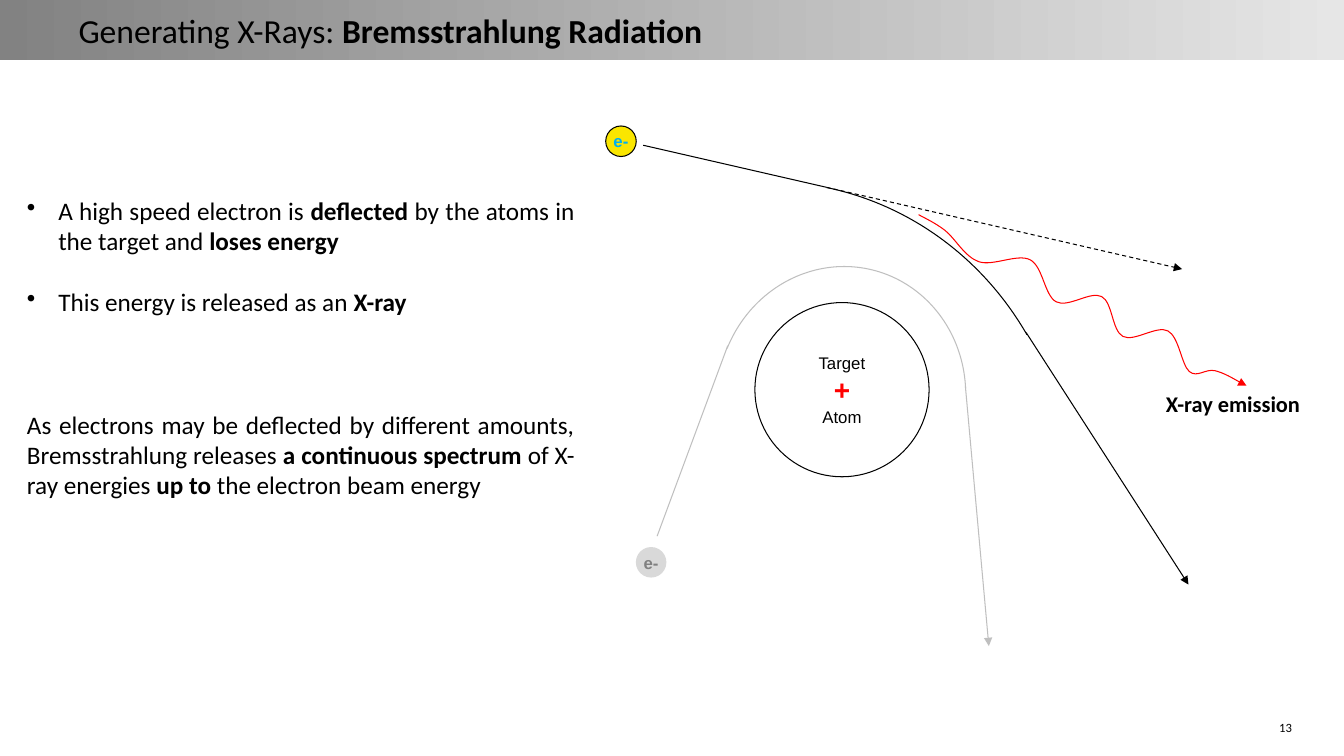
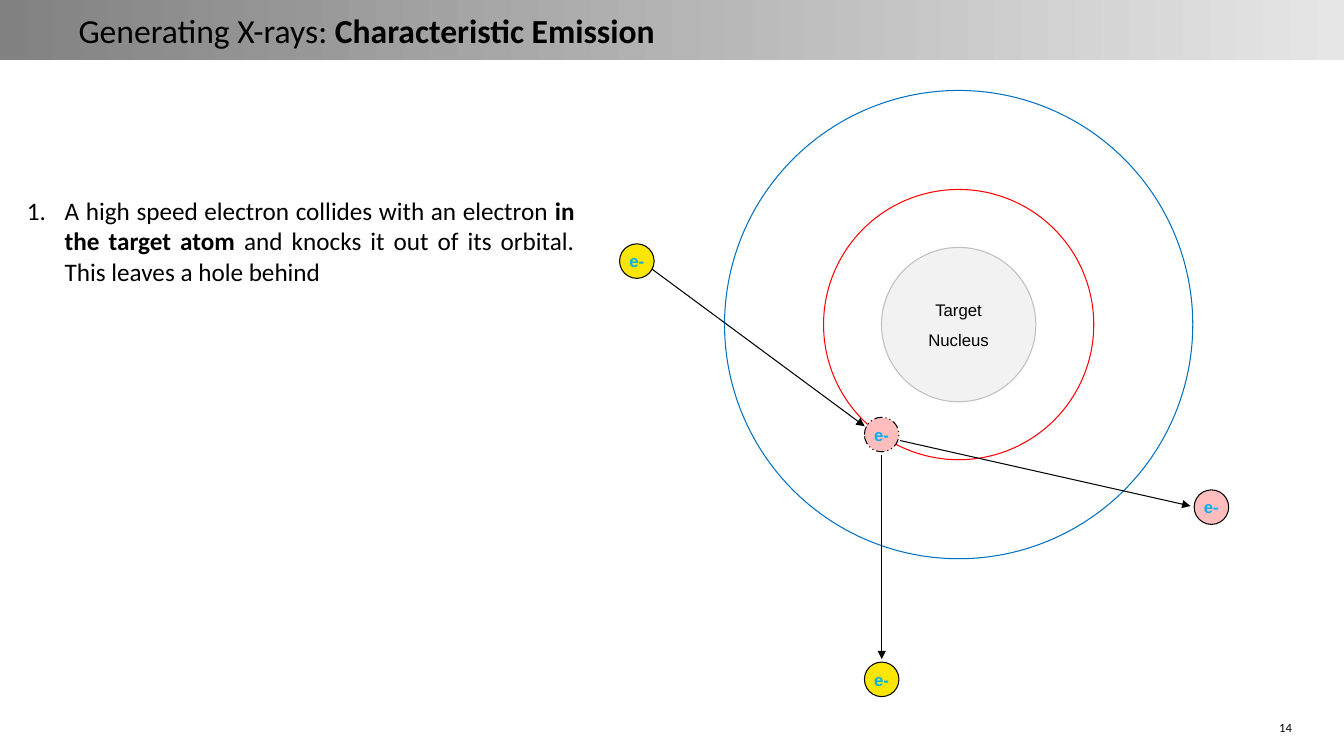
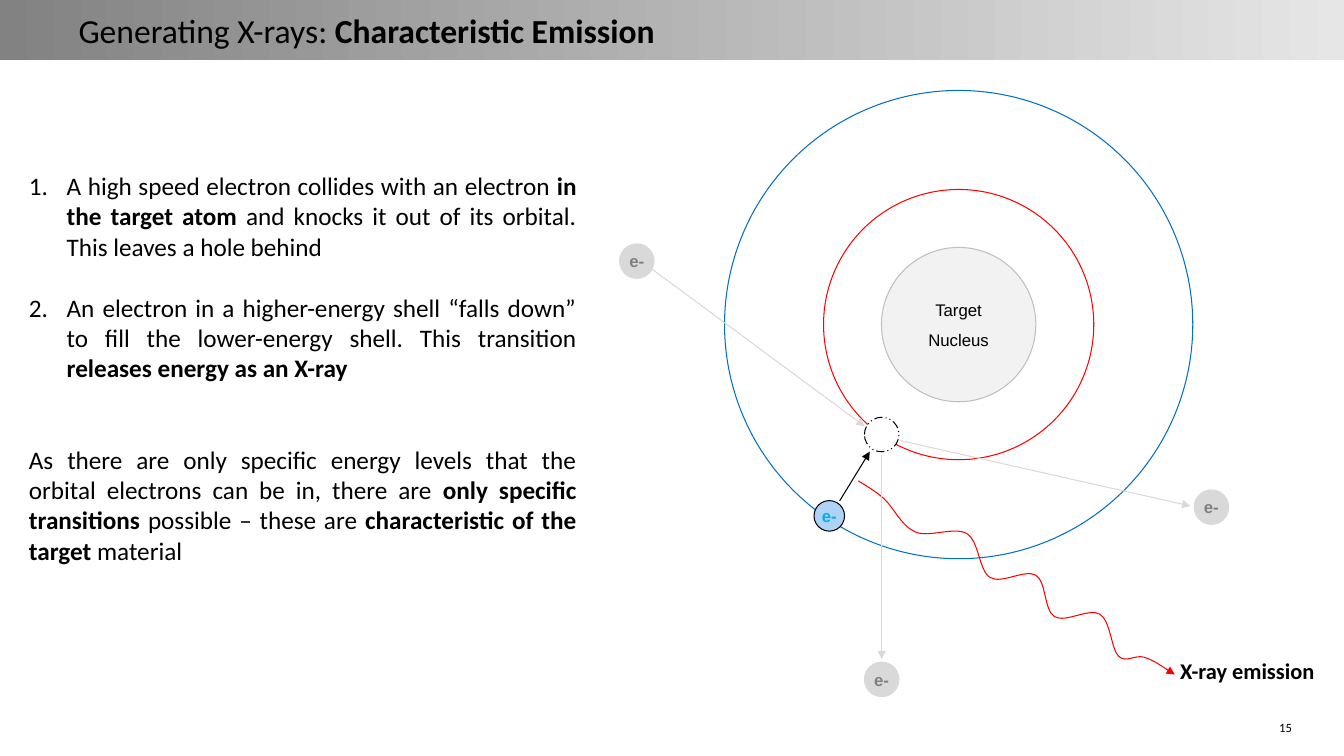
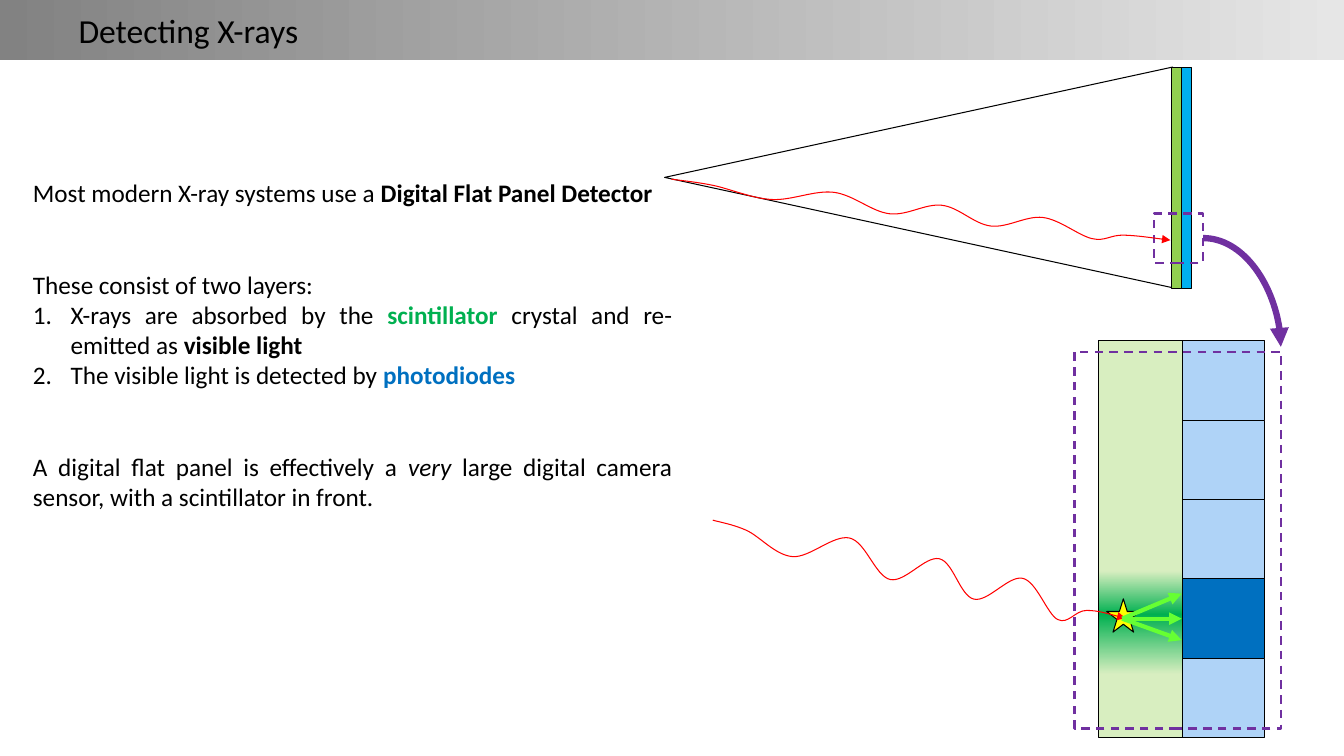
import copy

import pptx
import pptx.dml.color
import pptx.enum.dml
import pptx.enum.shapes
import pptx.enum.text
import pptx.oxml.ns
import pptx.shapes.connector
import pptx.util

COLOURS = {
    "black": "000000", "white": "FFFFFF", "red": "FF0000", "blue": "0070C0",
    "cyan": "00B0F0", "pale blue": "AFD3F7", "yellow": "FAE600", "star": "FFFF00",
    "pink": "FFBDBD", "green": "00B050", "leaf": "92D050", "pale green": "D8EEC0",
    "light": "66FF33", "purple": "7030A0", "band dark": "828282", "band light": "E6E6E6",
    "text grey": "808080", "path grey": "BFBFBF", "faded": "D9D9D9", "nucleus": "F2F2F2",
}
RGB = {name: pptx.dml.color.RGBColor.from_string(value) for name, value in COLOURS.items()}

# Run styles: bold, italic, colour
STYLES = {
    "plain": (False, False, "black"),
    "bold": (True, False, "black"),
    "italic": (False, True, "black"),
    "plus": (True, False, "red"),
    "electron": (True, False, "cyan"),
    "faded electron": (True, False, "text grey"),
    "scintillator": (True, False, "green"),
    "photodiodes": (True, False, "blue"),
}
# Paragraph markers: hanging indent in cm, bullet element
MARKERS = {"bullet": (0.79, "buChar", "char", "•"),
           "number": (0.95, "buAutoNum", "type", "arabicPeriod")}

Cm = pptx.util.Cm
Pt = pptx.util.Pt
SHAPE = pptx.enum.shapes.MSO_SHAPE
CONNECTOR = pptx.enum.shapes.MSO_CONNECTOR
DASH = pptx.enum.dml.MSO_LINE.DASH
DASH_DOT_DOT = pptx.enum.dml.MSO_LINE.DASH_DOT_DOT
ALIGN = pptx.enum.text.PP_ALIGN
ANCHOR = pptx.enum.text.MSO_ANCHOR
qn = pptx.oxml.ns.qn


def finish(shape, fill=None, line=None, width=0.75, dash=None, arrow=False):
    """Set fill and line; fill is a colour name or a list of (position, colour) stops."""
    is_connector = isinstance(shape, pptx.shapes.connector.Connector)
    properties = shape.element.spPr
    if not is_connector:
        shape.shadow.inherit = False
        if isinstance(fill, list):
            shape.fill.gradient()
            stop_list = properties.find(".//" + qn("a:gsLst"))
            while len(stop_list) < len(fill):
                stop_list.append(copy.deepcopy(stop_list[0]))
            for stop, (position, colour) in zip(shape.fill.gradient_stops, fill):
                stop.position = position
                stop.color.rgb = RGB[colour]
        elif fill:
            shape.fill.solid()
            shape.fill.fore_color.rgb = RGB[fill]
        else:
            shape.fill.background()
    if line:
        shape.line.color.rgb = RGB[line]
        shape.line.width = Pt(width)
        if dash:
            shape.line.dash_style = dash
    else:
        shape.line.fill.background()
    if arrow:
        outline = properties.find(qn("a:ln"))
        outline.append(outline.makeelement(qn("a:tailEnd"), {"type": "triangle"}))
    if is_connector:
        properties.append(properties.makeelement(qn("a:effectLst"), {}))


def write(shape, paragraphs, size, font="Calibri", alignment=ALIGN.LEFT,
          anchor=ANCHOR.TOP, wrap=True):
    """Fill a shape with paragraphs given as (marker, space before, [(text, style), ...])."""
    frame = shape.text_frame
    frame.word_wrap = wrap
    frame.vertical_anchor = anchor
    for index, (marker, space, runs) in enumerate(paragraphs):
        paragraph = frame.add_paragraph() if index else frame.paragraphs[0]
        paragraph.alignment = alignment
        if marker:
            indent, tag, attribute, value = MARKERS[marker]
            properties = paragraph._p.get_or_add_pPr()
            properties.set("marL", str(int(Cm(indent))))
            properties.set("indent", str(-int(Cm(indent))))
            properties.append(properties.makeelement(qn("a:" + tag), {attribute: value}))
        if space:
            paragraph.space_before = Pt(space)
        for text, style in runs:
            run = paragraph.add_run()
            run.text = text
            run.font.name = font
            run.font.size = Pt(size)
            run.font.bold, run.font.italic, colour = STYLES[style]
            run.font.color.rgb = RGB[colour]


presentation = pptx.Presentation()
presentation.slide_width = Cm(33.87)
presentation.slide_height = Cm(19.05)

# Headings, page numbers and body texts
LINE = 22  # height in points of one line of body text
collision = ("number", 0, [
    ("A high speed electron collides with an electron ", "plain"),
    ("in the target atom", "bold"),
    (" and knocks it out of its orbital. This leaves a hole behind", "plain")])
characteristic_title = [("Generating X-rays: ", "plain"), ("Characteristic Emission", "bold")]

pages = [
    ([("Generating X-Rays: ", "plain"), ("Bremsstrahlung Radiation", "bold")], "13",
     (0.43, 4.8, 14.3, 7.95), [
        ("bullet", 0, [("A high speed electron is ", "plain"), ("deflected", "bold"),
                       (" by the atoms in the target and ", "plain"), ("loses energy", "bold")]),
        ("bullet", LINE, [("This energy is released as an ", "plain"), ("X-ray", "bold")]),
        (None, 3 * LINE, [
            ("As electrons may be deflected by different amounts, Bremsstrahlung releases ", "plain"),
            ("a continuous spectrum", "bold"), (" of X-ray energies ", "plain"),
            ("up to ", "bold"), ("the electron beam energy", "plain")])]),
    (characteristic_title, "14", (0.43, 4.8, 14.3, 3.33), [collision]),
    (characteristic_title, "15", (0.48, 4.17, 14.3, 10.26), [
        collision,
        ("number", LINE, [
            ("An electron in a higher-energy shell “falls down” to fill the lower-energy shell. "
             "This transition ", "plain"),
            ("releases energy as an X-ray", "bold")]),
        (None, 2 * LINE, [
            ("As there are only specific energy levels that the orbital electrons can be in, "
             "there are ", "plain"),
            ("only specific transitions ", "bold"), ("possible – these are ", "plain"),
            ("characteristic of the target ", "bold"), ("material", "plain")])]),
    ([("Detecting X-rays", "plain")], None, (0.58, 4.34, 16.61, 9.5), [
        (None, 0, [("Most modern X-ray systems use a ", "plain"),
                   ("Digital Flat Panel Detector", "bold")]),
        (None, 2 * LINE, [("These consist of two layers:", "plain")]),
        ("number", 0, [("X-rays are absorbed by the ", "plain"), ("scintillator", "scintillator"),
                       (" crystal and re-emitted as ", "plain"), ("visible light", "bold")]),
        ("number", 0, [("The visible light is detected by ", "plain"),
                       ("photodiodes", "photodiodes")]),
        (None, 2 * LINE, [("A digital flat panel is effectively a ", "plain"), ("very", "italic"),
                          (" large digital camera sensor, with a scintillator in front.", "plain")])]),
]

slides = []
for title, number, body_box, body in pages:
    slide = presentation.slides.add_slide(presentation.slide_layouts[6])
    slides.append(slide)
    band = slide.shapes.add_shape(SHAPE.RECTANGLE, 0, 0, presentation.slide_width, Cm(1.52))
    finish(band, [(0, "band dark"), (1, "band light")])
    band.fill.gradient_angle = 0

    title_box = slide.shapes.add_textbox(Cm(1.98), 0, Cm(27.94), Cm(1.52))
    title_box.text_frame.margin_left = 0
    write(title_box, [(None, 0, title)], 24, anchor=ANCHOR.MIDDLE)

    if number:
        number_box = slide.shapes.add_textbox(Cm(31.9), Cm(17.98), Cm(0.66), Cm(0.66))
        number_box.text_frame.margin_left = number_box.text_frame.margin_right = 0
        write(number_box, [(None, 0, [(number, "plain")])], 9,
              alignment=ALIGN.RIGHT, anchor=ANCHOR.BOTTOM)

    body_text = slide.shapes.add_textbox(*map(Cm, body_box))
    write(body_text, body, 18, alignment=ALIGN.JUSTIFY)

bremsstrahlung, knock_out, emission, detector = slides

# Circles: slide, centre, diameter, fill, line, dash, lines of text with their style
electron = [("e-", "electron")]
faded_electron = [("e-", "faded electron")]
target_atom = [("Target", "plain"), ("+", "plus"), ("Atom", "plain")]
target_nucleus = [("Target", "plain"), ("Nucleus", "plain")]
circles = [
    (bremsstrahlung, (21.22, 9.82), 4.39, None, "black", None, target_atom),
    (bremsstrahlung, (15.65, 3.56), 0.77, "yellow", "black", None, electron),
    (bremsstrahlung, (16.41, 14.17), 0.77, "faded", None, None, faded_electron),
]
nucleus_centre = (24.16, 8.18)
hole_centre = (22.22, 10.95)
for slide in (knock_out, emission):
    circles += [
        (slide, nucleus_centre, 11.8, None, "blue", None, []),
        (slide, nucleus_centre, 6.81, None, "red", None, []),
        (slide, nucleus_centre, 3.89, "nucleus", "path grey", None, target_nucleus),
    ]
circles += [
    (knock_out, hole_centre, 0.87, "pink", "black", DASH_DOT_DOT, electron),
    (emission, hole_centre, 0.87, "white", "black", DASH_DOT_DOT, []),
    (emission, (20.9, 13), 0.77, "pale blue", "black", None, electron),
]
for centre, fill in (((16.05, 6.58), "yellow"), ((30.53, 12.78), "pink"), ((22.22, 17.12), "yellow")):
    circles += [
        (knock_out, centre, 0.87, fill, "black", None, electron),
        (emission, centre, 0.87, "faded", "faded", None, faded_electron),
    ]

for slide, (x, y), diameter, fill, line, dash, texts in circles:
    circle = slide.shapes.add_shape(SHAPE.OVAL, Cm(x - diameter / 2), Cm(y - diameter / 2),
                                    Cm(diameter), Cm(diameter))
    finish(circle, fill, line, dash=dash)
    space = 7 if texts is target_nucleus else 0
    paragraphs = [(None, space if index else 0, [run]) for index, run in enumerate(texts)]
    write(circle, paragraphs, 12, "Arial", ALIGN.CENTER, ANCHOR.MIDDLE, wrap=False)
    if texts is target_atom:
        circle.text_frame.paragraphs[1].runs[0].font.size = Pt(20)

# Bent parts of the two electron paths
for box, start, end, colour in (
        ((11.28, 4.55, 15.7, 16.61), 161.89, 188.89, "black"),
        ((18.08, 6.71, 6.25, 6.6), 114.63, 206.36, "path grey")):
    arc = bremsstrahlung.shapes.add_shape(SHAPE.ARC, *map(Cm, box))
    arc.adjustments[0] = start
    arc.adjustments[1] = end
    arc.rotation = 12
    finish(arc, line=colour)

# Detector: beam, layers, enlarged section and zoom frames
LAYER, CELL = 0.25, 2
layer_left, section_left, section_top = 29.53, 27.69, 8.59
glow = [(0, "pale green"), (0.58, "pale green"), (0.69, "green"), (0.84, "pale green")]
detector_shapes = [
    (SHAPE.ISOSCELES_TRIANGLE, (20.37, -1.93, 5.56, 12.8), None, "black"),
    (SHAPE.RECTANGLE, (layer_left, 1.7, LAYER, 5.56), "leaf", "black"),
    (SHAPE.RECTANGLE, (layer_left + LAYER, 1.7, LAYER, 5.56), "cyan", "black"),
    (SHAPE.RECTANGLE, (section_left, section_top, 2.1, 5 * CELL), glow, "black"),
    (SHAPE.STAR_5_POINT, (27.89, 15.09, 0.84, 0.84), "star", "black"),
    (SHAPE.RECTANGLE, (29.08, 5.38, 1.24, 1.24), None, "purple"),
    (SHAPE.RECTANGLE, (27.08, 8.86, 5.21, 9.5), None, "purple"),
]
photodiodes = []
for row in range(5):
    photodiode = detector.shapes.add_shape(
        SHAPE.RECTANGLE, Cm(section_left + 2.09), Cm(section_top + row * CELL), Cm(2.1), Cm(CELL))
    finish(photodiode, "blue" if row == 3 else "pale blue", "black")
    photodiodes.append(photodiode)

for preset, box, fill, line in detector_shapes:
    shape = detector.shapes.add_shape(preset, *map(Cm, box))
    if line == "purple":
        finish(shape, fill, line, 1.5, DASH)
    else:
        finish(shape, fill, line)
    if preset == SHAPE.ISOSCELES_TRIANGLE:
        shape.rotation = 270
    if fill is glow:
        shape.fill.gradient_angle = 270

# X-ray waves: one smooth curve through these points, stretched and turned
WAVE = [(0, 405), (83, 470), (203, 900), (324, 10), (439, 900), (541, 0),
        (642, 900), (743, 0), (845, 920), (906, 480), (1000, 440)]
WAVE_HEIGHT = 920
for slide, (left, top, width, height), angle in (
        (bremsstrahlung, (22.61, 7.26, 9.32, 0.66), 27.4),
        (emission, (20.93, 14.25, 9.35, 0.66), 31.3),
        (detector, (16.87, 5.11, 12.67, 0.38), 6.9),
        (detector, (17.81, 13.97, 10.69, 0.81), 13.2)):
    builder = slide.shapes.build_freeform(
        *WAVE[0], scale=(Cm(width) / 1000, Cm(height) / WAVE_HEIGHT))
    builder.add_line_segments(WAVE[1:], close=False)
    wave = builder.convert_to_shape(Cm(left), Cm(top))
    wave.rotation = angle
    finish(wave, line="red", arrow=True)
    # Each handle is a sixth of the way between the neighbouring points
    padded = [WAVE[0]] + WAVE + [WAVE[-1]]
    for index, segment in enumerate(wave.element.findall(".//" + qn("a:lnTo"))):
        before, start, end, after = padded[index:index + 4]
        curve = segment.makeelement(qn("a:cubicBezTo"), {})
        handles = [[start[axis] + (end[axis] - before[axis]) / 6 for axis in (0, 1)],
                   [end[axis] - (after[axis] - start[axis]) / 6 for axis in (0, 1)], end]
        for x, y in handles:
            curve.append(curve.makeelement(qn("a:pt"), {"x": str(round(x)), "y": str(round(y))}))
        segment.getparent().replace(segment, curve)

# Straight paths: slide, start, end, colour, dash, arrow
paths = [
    (bremsstrahlung, (20.83, 4.72), (29.79, 6.78), "black", DASH, True),
    (bremsstrahlung, (16.21, 3.66), (20.83, 4.72), "black", None, False),
    (bremsstrahlung, (25.86, 8.38), (29.95, 14.73), "black", None, True),
    (bremsstrahlung, (24.33, 9.75), (24.92, 16.28), "path grey", None, True),
    (bremsstrahlung, (16.56, 13.51), (18.34, 8.71), "path grey", None, False),
    (emission, (21.16, 12.62), (21.92, 11.38), "black", None, True),
]
for slide, colour in ((knock_out, "black"), (emission, "faded")):
    paths += [
        (slide, (16.43, 6.78), (21.79, 10.74), colour, None, True),
        (slide, (22.22, 11.46), (22.22, 16.61), colour, None, True),
        (slide, (22.68, 11.1), (30, 12.75), colour, None, True),
    ]
for slide, start, end, colour, dash, arrow in paths:
    path_line = slide.shapes.add_connector(CONNECTOR.STRAIGHT, *map(Cm, start + end))
    finish(path_line, line=colour, dash=dash, arrow=arrow)

for end_y in (14.96, 15.59, 16.13):
    light_ray = detector.shapes.add_connector(
        CONNECTOR.STRAIGHT, Cm(28.28), Cm(15.59), Cm(29.78), Cm(end_y))
    if end_y == 15.59:
        light_ray.end_connect(photodiodes[3], 1)
    finish(light_ray, line="light", width=3, arrow=True)

zoom_arrow = detector.shapes.add_connector(CONNECTOR.CURVE, Cm(30.32), Cm(6), Cm(32.28), Cm(8.74))
zoom_arrow.element.spPr.find(qn("a:prstGeom")).set("prst", "curvedConnector2")
finish(zoom_arrow, line="purple", width=4.5, arrow=True)

for slide, left, top in ((bremsstrahlung, 29.13, 9.7), (emission, 29.49, 16.43)):
    label = slide.shapes.add_textbox(Cm(left), Cm(top), Cm(4.3), Cm(1.37))
    write(label, [(None, 0, [("X-ray emission", "bold")])], 16)

presentation.save("out.pptx")
